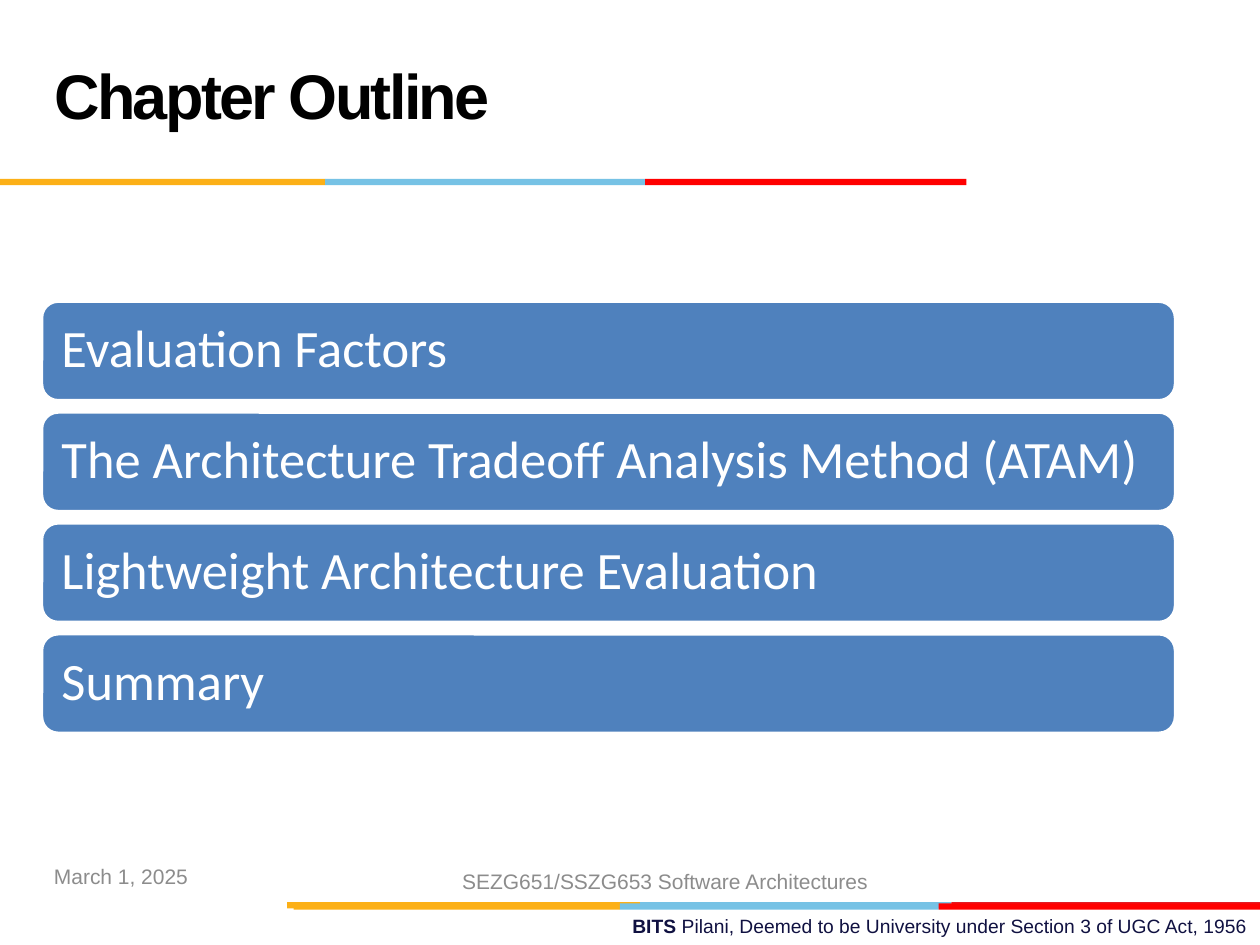
from dataclasses import dataclass
from typing import Any

from pptx import Presentation
from pptx.dml.color import RGBColor
from pptx.enum.shapes import MSO_SHAPE as Form
from pptx.enum.text import MSO_ANCHOR as Anchor, PP_ALIGN as Align
from pptx.util import Inches, Pt

WHITE = RGBColor(0xFF, 0xFF, 0xFF)
BLACK = RGBColor(0x00, 0x00, 0x00)
GOLD = RGBColor(0xFC, 0xB0, 0x17)
SKY = RGBColor(0x76, 0xC2, 0xE5)
RED = RGBColor(0xFF, 0x00, 0x00)
CRIMSON = RGBColor(0xE3, 0x1C, 0x24)
BLUE = RGBColor(0x4F, 0x81, 0xBD)
NAVY = RGBColor(0x10, 0x11, 0x41)
GREY = RGBColor(0x8C, 0x8C, 0x8C)


@dataclass
class Box:
    left: float
    top: float
    width: float
    height: float

    def place(self) -> tuple:
        return tuple(map(Inches, (self.left, self.top, self.width, self.height)))


@dataclass
class Stripe:
    top: float
    edges: tuple
    last: RGBColor


@dataclass
class Label:
    box: Box
    words: tuple
    size: int
    color: RGBColor
    align: Any
    anchor: Any


STRIPES = (
    Stripe(7.16, (2.28, 5.08, 7.55, 10), CRIMSON),
    Stripe(7.17, (2.33, 4.92, 7.45, 10), RED),
    Stripe(1.42, (0, 2.58, 5.12, 7.67), RED),
)
TOPICS = (
    "Evaluation Factors",
    "The Architecture Tradeoff Analysis Method (ATAM)",
    "Lightweight Architecture Evaluation",
    "Summary",
)
LABELS = (
    Label(Box(3.58, 7.21, 6.42, 0.29),
          (("BITS ", True),
           ("Pilani, Deemed to be University under Section 3 of UGC Act, 1956", False)),
          11, NAVY, Align.RIGHT, Anchor.TOP),
    Label(Box(0.33, 6.75, 2.33, 0.4), (("March 1, 2025", False),),
          12, GREY, Align.LEFT, Anchor.MIDDLE),
    Label(Box(3.48, 6.79, 3.6, 0.4), (("SEZG651/SSZG653 Software Architectures", False),),
          12, GREY, Align.CENTER, Anchor.MIDDLE),
)


def apply(item: Any, look: dict) -> None:
    for name, value in look.items():
        setattr(item, name, value)


def write(para: Any, text: str, color: RGBColor, look: dict) -> Any:
    run = para.add_run()
    run.text = text
    apply(run.font, look)
    run.font.color.rgb = color
    return run


def block(slide: Any, form: Any, box: Box, color: RGBColor) -> Any:
    shape = slide.shapes.add_shape(form, *box.place())
    shape.shadow.inherit = False
    shape.fill.solid()
    shape.fill.fore_color.rgb = color
    shape.line.fill.background()
    return shape


def draw_stripe(slide: Any, stripe: Stripe) -> None:
    spans = zip(stripe.edges, stripe.edges[1:], (GOLD, SKY, stripe.last))
    for start, end, color in spans:
        block(slide, Form.RECTANGLE, Box(start, stripe.top, end - start, 0.05), color)


def draw_topic(slide: Any, row: int, text: str) -> None:
    box = Box(0.33, 2.39 + row * 0.88, 9, 0.79)
    shape = block(slide, Form.ROUNDED_RECTANGLE, box, BLUE)
    shape.line.color.rgb = WHITE
    shape.line.width = Pt(2)
    frame = shape.text_frame
    sides = ("left", "top", "right", "bottom")
    apply(frame, {f"margin_{side}": Inches(0.12) for side in sides})
    apply(frame, {"word_wrap": True, "vertical_anchor": Anchor.MIDDLE})
    para = frame.paragraphs[0]
    apply(para, {"alignment": Align.LEFT, "line_spacing": 0.9})
    write(para, text, WHITE, {"name": "Calibri", "size": Pt(30)})


def draw_label(slide: Any, label: Label) -> None:
    frame = slide.shapes.add_textbox(*label.box.place()).text_frame
    apply(frame, {"word_wrap": True, "vertical_anchor": label.anchor})
    para = frame.paragraphs[0]
    para.alignment = label.align
    for text, bold in label.words:
        look = {"name": "Arial", "size": Pt(label.size), "bold": bold}
        write(para, text, label.color, look)


def draw_title(slide: Any, text: str) -> None:
    title = slide.shapes.title
    spot = zip(("left", "top", "width", "height"), Box(0.33, 0.17, 6.92, 1.25).place())
    apply(title, dict(spot))
    apply(title.text_frame, {"word_wrap": True, "vertical_anchor": Anchor.MIDDLE})
    para = title.text_frame.paragraphs[0]
    apply(para, {"alignment": Align.LEFT, "line_spacing": Pt(36)})
    run = write(para, text, BLACK, {"name": "Arial", "size": Pt(36), "bold": True})
    run._r.get_or_add_rPr().set("spc", "-150")


def main() -> None:
    deck = Presentation()
    apply(deck, {"slide_width": Inches(10), "slide_height": Inches(7.5)})
    slide = deck.slides.add_slide(deck.slide_layouts[5])
    draw_title(slide, "Chapter Outline")
    for stripe in STRIPES:
        draw_stripe(slide, stripe)
    for row, text in enumerate(TOPICS):
        draw_topic(slide, row, text)
    for label in LABELS:
        draw_label(slide, label)
    deck.save("out.pptx")


if __name__ == "__main__":
    main()
